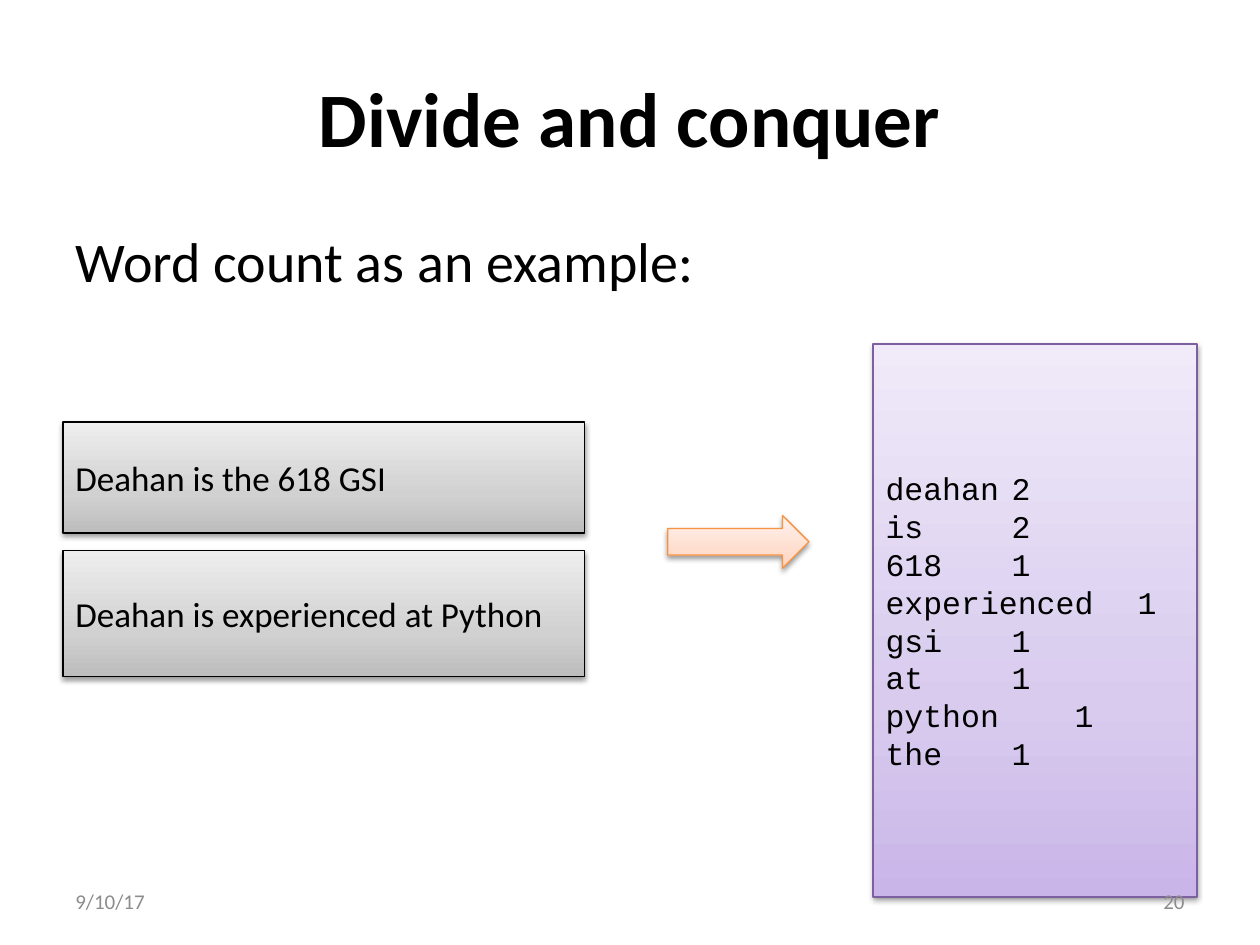
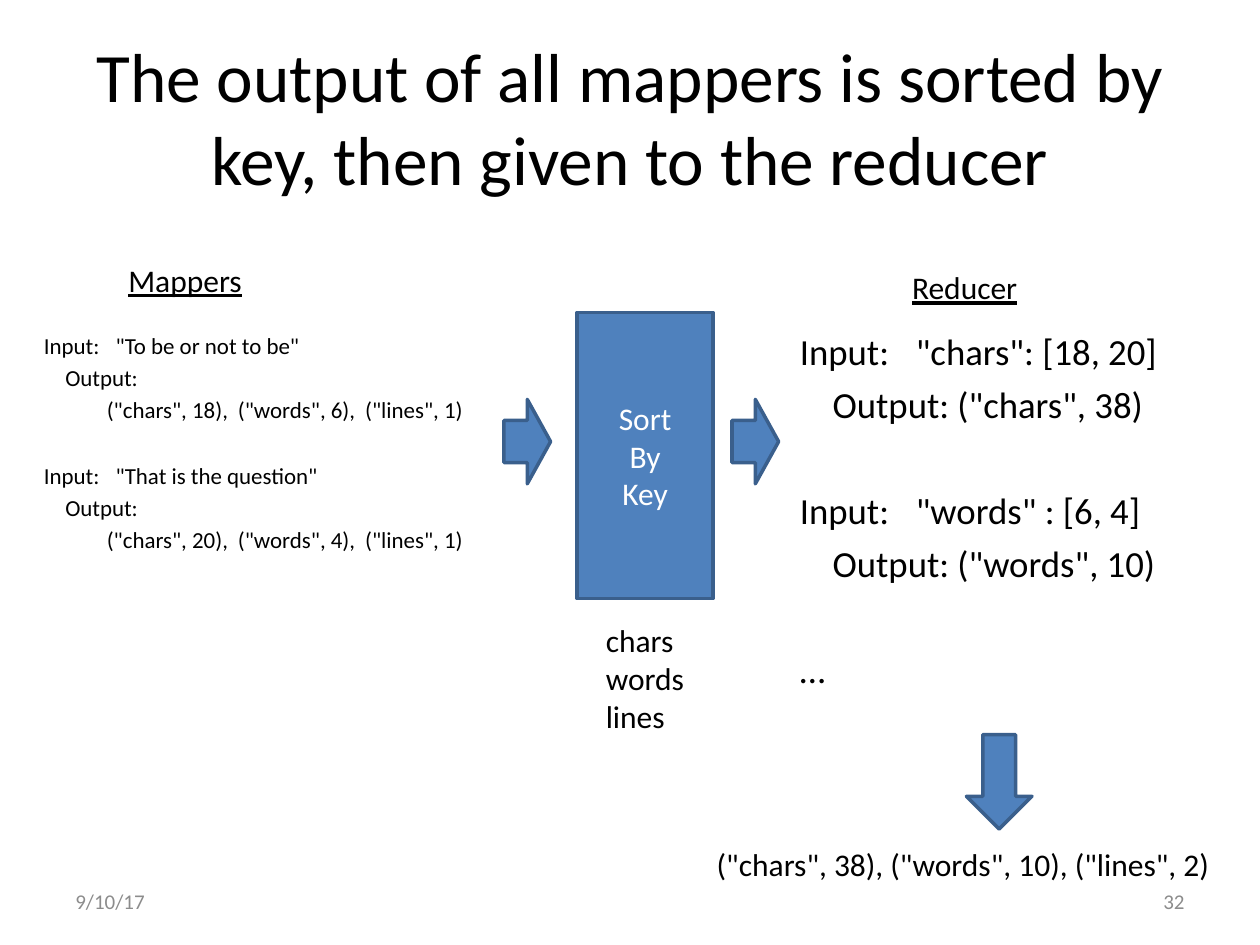
"""Build two slides on word counting with mappers and a reducer."""
from lxml import etree
from pptx import Presentation
from pptx import util as u
from pptx.dml import color
from pptx.enum import shapes, text
from pptx.oxml import ns

COLORS = {"ink": "000000", "paper": "FFFFFF", "footer": "8C8C8C",
          "blue": "4F81BD", "navy": "3A5F8C", "purple": "7D60A0", "orange": "F69240"}
GRADIENTS = {"gray": ("BDBDBD", "D1D1D1", "EEEEEE"),
             "lilac": ("C9B5E8", "D8CBEE", "F0EAF9"),
             "peach": ("FFD2BD", "FFDED0", "FFF2ED")}
STOPS = (0, 35, 100)
ALIGN = text.PP_ALIGN
KIND = shapes.MSO_SHAPE


def add_xml(parent, tag, **attributes):
    values = {name: str(value) for name, value in attributes.items()}
    return etree.SubElement(parent, ns.qn(tag), values)


class Page:
    font = "Calibri"
    date = "9/10/17"

    def __init__(self, deck, layout, number):
        self.slide = deck.slides.add_slide(deck.slide_layouts[layout])
        self.number = number

    def style(self, para, size, ink="ink", align=ALIGN.LEFT, font=None, bold=None, underline=None):
        para.alignment = align
        para.font.name = font or self.font
        para.font.size = u.Pt(size)
        para.font.bold = bold
        para.font.underline = underline
        para.font.color.rgb = color.RGBColor.from_string(COLORS[ink])

    def set_lines(self, frame, lines, size, **look):
        frame.text = "\n".join(lines)
        for para in frame.paragraphs:
            self.style(para, size, **look)

    def place(self, item, at):
        item.left, item.top, item.width, item.height = map(u.Inches, at)

    def title(self, words, size, bold=None):
        heading = self.slide.shapes.title
        self.place(heading, (0.5, 0.3, 9, 1.25))
        heading.text_frame.vertical_anchor = text.MSO_ANCHOR.MIDDLE
        self.set_lines(heading.text_frame, [words], size, align=ALIGN.CENTER, bold=bold)

    def body(self, words):
        holder = self.slide.placeholders[1]
        self.place(holder, (0.5, 1.75, 9, 4.95))
        holder.text_frame.text = words
        para = holder.text_frame.paragraphs[0]
        properties = para._p.get_or_add_pPr()
        properties.set("marL", "0")
        properties.set("indent", "0")
        add_xml(properties, "a:buNone")
        self.style(para, 32)

    def label(self, at, lines, size=18, wrap=False, anchor=text.MSO_ANCHOR.TOP, **look):
        frame = self.slide.shapes.add_textbox(*map(u.Inches, at)).text_frame
        frame.word_wrap = wrap
        frame.vertical_anchor = anchor
        self.set_lines(frame, lines, size, **look)

    def steps(self, at, rows, size, spacing, gap):
        frame = self.slide.shapes.add_textbox(*map(u.Inches, at)).text_frame
        frame.word_wrap = True
        frame.text = "\n".join(words for words, _, _ in rows)
        for para, (_, stops, starts_group) in zip(frame.paragraphs, rows):
            para.line_spacing = spacing
            para.space_before = u.Pt(gap if starts_group else 7.5)
            if stops:
                tabs = add_xml(para._p.get_or_add_pPr(), "a:tabLst")
                for stop in stops:
                    add_xml(tabs, "a:tab", pos=u.Inches(stop), algn="l")
            self.style(para, size)

    def shape(self, kind, at, line, width, lines=(), size=18, fill=None, gradient=None, **look):
        box = self.slide.shapes.add_shape(kind, *map(u.Inches, at))
        box.line.color.rgb = color.RGBColor.from_string(COLORS[line])
        box.line.width = u.Pt(width)
        box.shadow.inherit = False
        if gradient:
            self.shade(box, GRADIENTS[gradient])
        else:
            box.fill.solid()
            box.fill.fore_color.rgb = color.RGBColor.from_string(COLORS[fill])
        if lines:
            box.text_frame.vertical_anchor = text.MSO_ANCHOR.MIDDLE
            self.set_lines(box.text_frame, lines, size, **look)

    def shade(self, box, tones):
        box.fill.gradient()
        gradient = box._element.spPr.find(ns.qn("a:gradFill"))
        for child in list(gradient):
            gradient.remove(child)
        stop_list = add_xml(gradient, "a:gsLst")
        for position, tone in zip(STOPS, tones):
            stop = add_xml(stop_list, "a:gs", pos=position * 1000)
            add_xml(stop, "a:srgbClr", val=tone)
        add_xml(gradient, "a:lin", ang=270 * 60000, scaled=0)
        effects = box._element.spPr.find(ns.qn("a:effectLst"))
        shadow = add_xml(effects, "a:outerShdw", blurRad=u.Pt(3.1), dist=u.Pt(1.6),
                         dir=90 * 60000, rotWithShape=0)
        tint = add_xml(shadow, "a:srgbClr", val=COLORS["ink"])
        add_xml(tint, "a:alpha", val=38000)

    def footer(self):
        for left, words, align in ((0.5, self.date, ALIGN.LEFT),
                                   (7.17, self.number, ALIGN.RIGHT)):
            self.label((left, 6.95, 2.33, 0.4), [words], 12, wrap=True,
                       anchor=text.MSO_ANCHOR.MIDDLE, ink="footer", align=align)


def build_word_count(deck):
    page = Page(deck, 1, "20")
    page.title("Divide and conquer", 44, bold=True)
    page.body("Word count as an example:")
    for top, height, sentence in ((3.35, 0.88, "Deahan is the 618 GSI"),
                                  (4.37, 1, "Deahan is experienced at Python")):
        page.shape(KIND.RECTANGLE, (0.5, top, 4.14, height), "ink", 0.75,
                   [sentence], 20, gradient="gray")
    counts = ["deahan\t2", "is\t\t2", "618\t\t1", "experienced\t1",
              "gsi\t\t1", "at\t\t1", "python\t\t1", "the\t\t1"]
    page.shape(KIND.RECTANGLE, (6.93, 2.73, 2.57, 4.39), "purple", 0.75,
               counts, gradient="lilac", font="Courier New")
    page.shape(KIND.RIGHT_ARROW, (5.3, 4.09, 1.12, 0.42), "orange", 0.75, gradient="peach")
    page.footer()


def build_sort_by_key(deck):
    page = Page(deck, 5, "32")
    page.title("The output of all mappers is sorted by key, then given to the reducer", 39.6)

    mapper_rows = []
    for phrase, chars, words in (("To be or not to be", 18, 6), ("That is the question", 20, 4)):
        mapper_rows += [
            (f'Input:\t"{phrase}"', (0.57,), bool(mapper_rows)),
            ("\tOutput:", (0.17,), False),
            (f'\t("chars", {chars}),\t("words", {words}),\t("lines", 1)', (0.5, 1.54, 2.55), False)]
    page.steps((0.25, 2.64, 4, 2.24), mapper_rows, 13.1, 0.7, 26.2)

    reducer_rows = []
    for source, result in (('"chars": [18, 20]', '("chars", 38)'),
                           ('"words" : [6, 4]', '("words", 10)')):
        reducer_rows += [(f"Input:\t{source}", (0.92,), bool(reducer_rows)),
                         (f"\tOutput: {result}", (0.26,), False)]
    reducer_rows.append(("…", (), True))
    page.steps((6.25, 2.6, 3.6, 3.2), reducer_rows, 21, 0.9, 38)

    page.label((0.92, 2.02, 1.11, 0.4), ["Mappers"], underline=True)
    page.label((7.14, 2.08, 1.05, 0.4), ["Reducer"], underline=True)
    page.shape(KIND.RECTANGLE, (4.58, 2.48, 1.08, 2.27), "navy", 2, ["Sort", "By", "Key"],
               fill="blue", ink="paper", align=ALIGN.CENTER)
    for kind, at in ((KIND.RIGHT_ARROW, (4, 3.17, 0.37, 0.67)),
                     (KIND.RIGHT_ARROW, (5.81, 3.17, 0.37, 0.67)),
                     (KIND.DOWN_ARROW, (7.67, 5.83, 0.52, 0.75))):
        page.shape(kind, at, "navy", 2, fill="blue")
    page.label((5.59, 6.66, 4.16, 0.4), ['("chars", 38), ("words", 10), ("lines", 2)'])
    page.label((4.71, 4.88, 0.83, 1.01), ["chars", "words", "lines"])
    page.footer()


def main():
    deck = Presentation()
    deck.slide_width, deck.slide_height = u.Inches(10), u.Inches(7.5)
    build_word_count(deck)
    build_sort_by_key(deck)
    deck.save("out.pptx")


if __name__ == "__main__":
    main()
